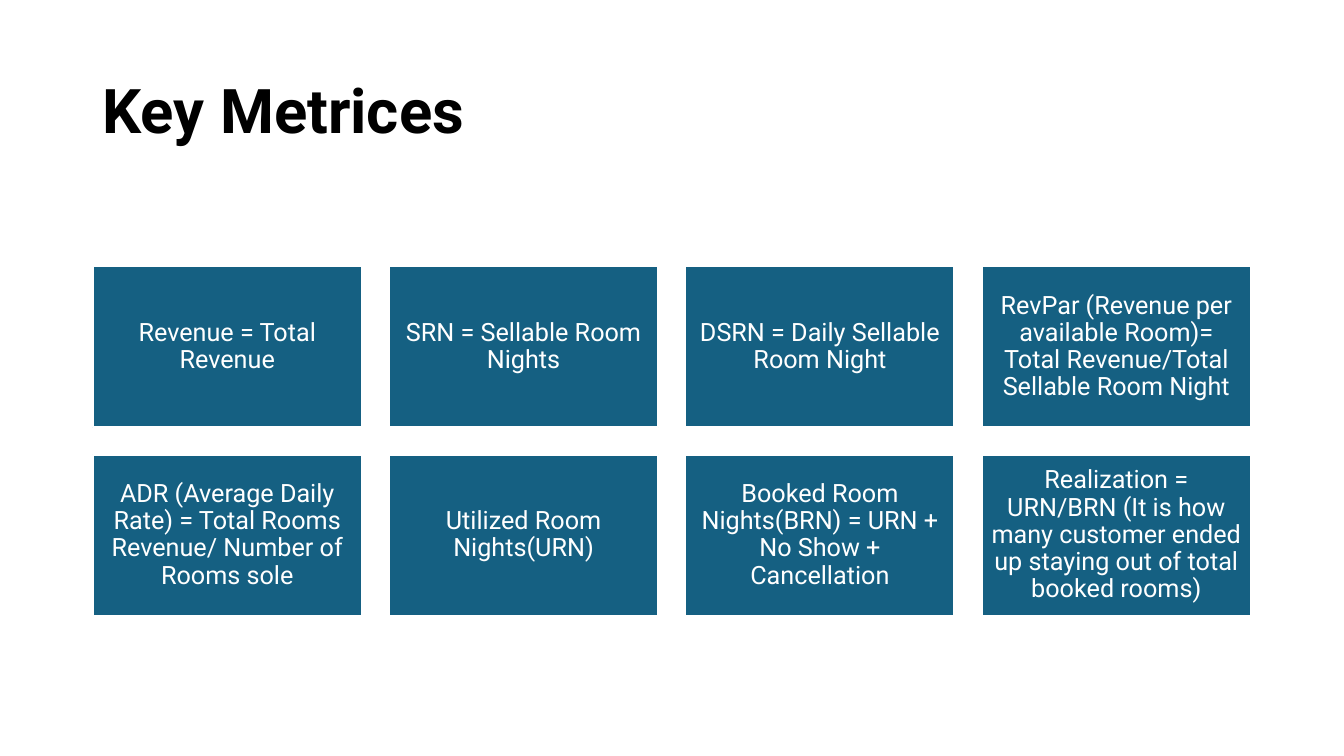
import pptx
import pptx.util
import pptx.dml.color
import pptx.enum.shapes
import pptx.enum.text

Pt = pptx.util.Pt
FONT = "Roboto"
LEFT = 66.24
TOP = 190.08
WIDE = 192.24
HIGH = 115.2
GAP = 19.44
COLS = 4
TERMS = [
    "Revenue = Total Revenue",
    "SRN = Sellable Room Nights",
    "DSRN = Daily Sellable Room Night",
    "RevPar (Revenue per available Room)= Total Revenue/Total Sellable Room Night",
    "ADR (Average Daily Rate) = Total Rooms Revenue/ Number of Rooms sole",
    "Utilized Room Nights(URN)",
    "Booked Room Nights(BRN) = URN + No Show + Cancellation",
    "Realization = URN/BRN (It is how many customer ended up staying out of total booked rooms)",
]


def tint(code):
    return pptx.dml.color.RGBColor.from_string(code)


def write(shape, text, size, color, align, bold=False):
    frame = shape.text_frame
    frame.word_wrap = True
    frame.vertical_anchor = pptx.enum.text.MSO_ANCHOR.MIDDLE
    para = frame.paragraphs[0]
    para.text = text
    para.alignment = align
    para.line_spacing = 0.9
    para.font.name = FONT
    para.font.size = Pt(size)
    para.font.bold = bold
    para.font.color.rgb = tint(color)
    return frame


def title(slide, text):
    box = slide.shapes.add_textbox(Pt(LEFT), Pt(28.8), Pt(828), Pt(104.4))
    write(box, text, 44, "000000", pptx.enum.text.PP_ALIGN.LEFT, True)


def card(slide, text, left, top):
    kind = pptx.enum.shapes.MSO_SHAPE.RECTANGLE
    box = slide.shapes.add_shape(kind, Pt(left), Pt(top), Pt(WIDE), Pt(HIGH))
    box.shadow.inherit = False
    box.fill.solid()
    box.fill.fore_color.rgb = tint("156082")
    box.line.color.rgb = tint("FFFFFF")
    box.line.width = Pt(1.5)
    frame = write(box, text, 18, "FFFFFF", pptx.enum.text.PP_ALIGN.CENTER)
    frame.margin_left = frame.margin_right = Pt(5)
    frame.margin_top = frame.margin_bottom = Pt(5)


def main():
    deck = pptx.Presentation()
    deck.slide_width = Pt(960)
    deck.slide_height = Pt(540)
    slide = deck.slides.add_slide(deck.slide_layouts[6])
    title(slide, "Key Metrices")
    for index, term in enumerate(TERMS):
        row, col = divmod(index, COLS)
        card(slide, term, LEFT + col * (WIDE + GAP), TOP + row * (HIGH + GAP))
    deck.save("out.pptx")


if __name__ == "__main__":
    main()
